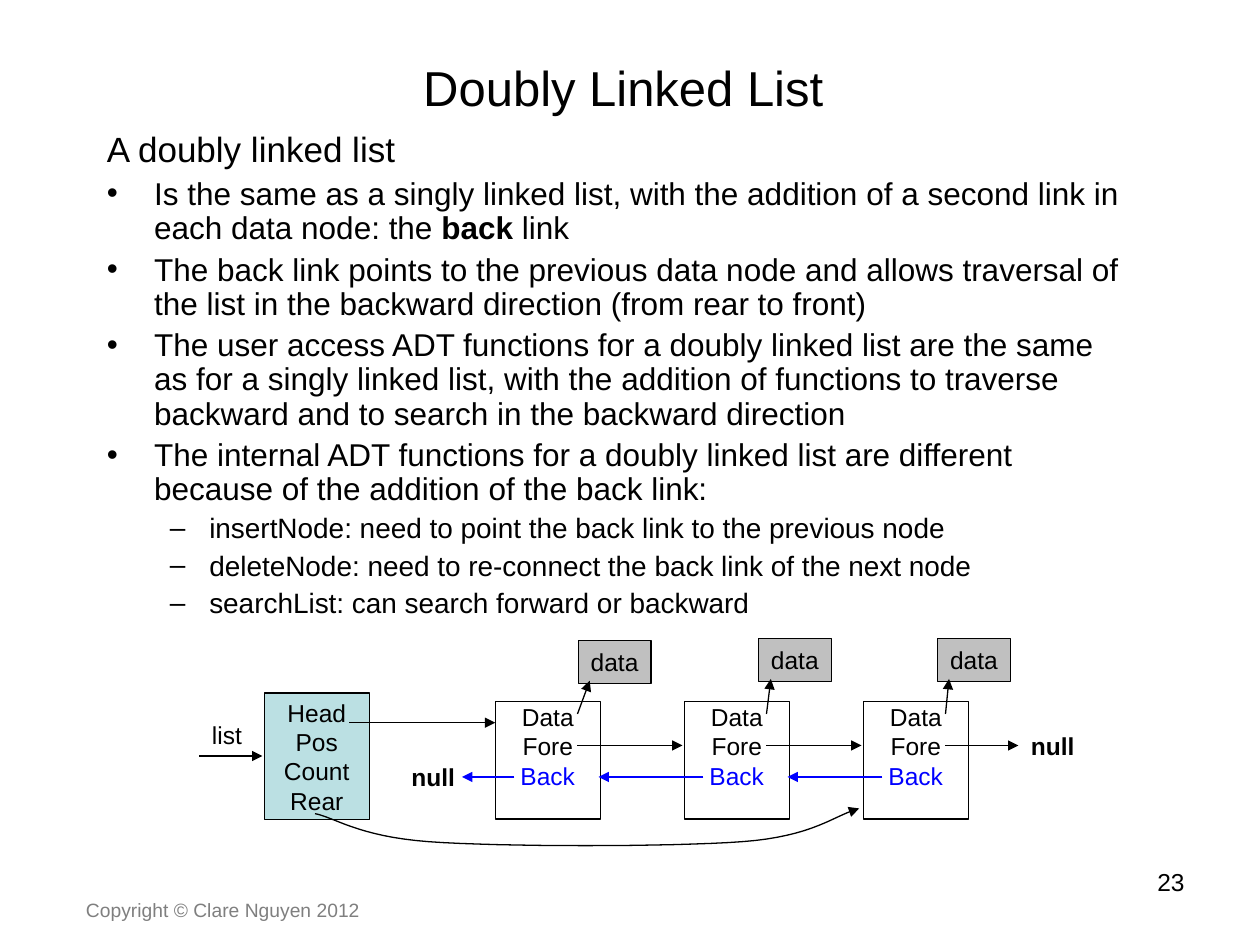
from lxml.etree import SubElement
from pptx import Presentation
from pptx.dml.color import RGBColor
from pptx.enum.shapes import MSO_CONNECTOR as Connector, MSO_SHAPE as Shape
from pptx.enum.text import MSO_ANCHOR as Anchor, PP_ALIGN as Align
from pptx.oxml.ns import qn
from pptx.util import Pt

BLACK = RGBColor(0x00, 0x00, 0x00)
BLUE = RGBColor(0x00, 0x00, 0xFF)
GRAY = RGBColor(0x7F, 0x7F, 0x7F)
SILVER = RGBColor(0xC0, 0xC0, 0xC0)
TEAL = RGBColor(0xBB, 0xE0, 0xE3)
FONT = "Arial"
LINE_WIDTH = 0.75

BULLETS = [
    "Is the same as a singly linked list, with the addition of a second link in "
    "each data node: the **back** link",
    "The back link points to the previous data node and allows traversal of the "
    "list in the backward direction (from rear to front)",
    "The user access ADT functions for a doubly linked list are the same as for a "
    "singly linked list, with the addition of functions to traverse backward and "
    "to search in the backward direction",
    "The internal ADT functions for a doubly linked list are different because of "
    "the addition of the back link:",
]
DASHES = [
    "insertNode: need to point the back link to the previous node",
    "deleteNode: need to re-connect the back link of the next node",
    "searchList: can search forward or backward",
]


def write(paragraph, text, size=14, color=BLACK, bold=False, align=Align.LEFT):
    """Fill a paragraph; parts between double asterisks are bold."""
    paragraph.alignment = align
    for index, part in enumerate(text.split("**")):
        run = paragraph.add_run()
        run.text = part
        font = run.font
        font.name, font.size, font.color.rgb = FONT, Pt(size), color
        font.bold = bold or index % 2 == 1


def add_label(slide, box, text, wrap=True, anchor=Anchor.TOP, **style):
    frame = slide.shapes.add_textbox(*map(Pt, box)).text_frame
    frame.word_wrap = wrap
    frame.vertical_anchor = anchor
    write(frame.paragraphs[0], text, **style)


def add_box(slide, box, lines, fill=None, anchor=Anchor.MIDDLE):
    """Draw an outlined rectangle with one (text, color) pair per line."""
    shape = slide.shapes.add_shape(Shape.RECTANGLE, *map(Pt, box))
    shape.shadow.inherit = False
    shape.line.color.rgb, shape.line.width = BLACK, Pt(LINE_WIDTH)
    if fill is None:
        shape.fill.background()
    else:
        shape.fill.solid()
        shape.fill.fore_color.rgb = fill
    frame = shape.text_frame
    frame.word_wrap = False
    frame.vertical_anchor = anchor
    frame.margin_top = frame.margin_bottom = 0
    for index, (text, color) in enumerate(lines):
        paragraph = frame.add_paragraph() if index else frame.paragraphs[0]
        write(paragraph, text, color=color, align=Align.CENTER)


def style_arrow(shape, color):
    shape.line.color.rgb, shape.line.width = color, Pt(LINE_WIDTH)
    SubElement(shape.line._get_or_add_ln(), qn("a:tailEnd"), type="triangle")


def add_arrow(slide, start, end, color=BLACK):
    arrow = slide.shapes.add_connector(Connector.STRAIGHT, *map(Pt, start + end))
    style_arrow(arrow, color)
    SubElement(arrow._element.spPr, qn("a:effectLst"))


def add_curved_arrow(slide, points, steps=16):
    """Trace a chain of cubic curves: a start, then three points per curve."""
    trace = []
    for first in range(0, len(points) - 1, 3):
        a, b, c, d = points[first:first + 4]
        for step in range(1, steps + 1):
            t = step / steps
            weights = ((1 - t) ** 3, 3 * t * (1 - t) ** 2, 3 * t * t * (1 - t), t ** 3)
            trace.append(tuple(Pt(sum(w * p[axis] for w, p in zip(weights, (a, b, c, d))))
                               for axis in (0, 1)))
    builder = slide.shapes.build_freeform(*map(Pt, points[0]))
    builder.add_line_segments(trace, close=False)
    curve = builder.convert_to_shape()
    curve.shadow.inherit = False
    curve.fill.background()
    style_arrow(curve, BLACK)


def add_body(slide, box):
    frame = slide.shapes.add_textbox(*map(Pt, box)).text_frame
    frame.word_wrap = True
    items = [("A doubly linked list", 20, None, 27, -27, 0)]
    items += [(text, 18, "•", 27, -27, 4.5) for text in BULLETS]
    items += [(text, 16, "–", 58.5, -22.5, 4) for text in DASHES]
    for index, (text, size, bullet, margin, indent, space) in enumerate(items):
        paragraph = frame.add_paragraph() if index else frame.paragraphs[0]
        paragraph.line_spacing = 0.9
        paragraph.space_before = Pt(space)
        properties = paragraph._p.get_or_add_pPr()
        properties.set("marL", str(Pt(margin)))
        properties.set("indent", str(Pt(indent)))
        if bullet:
            SubElement(properties, qn("a:buFont"), typeface=FONT)
            SubElement(properties, qn("a:buChar"), char=bullet)
        write(paragraph, text, size=size)


def add_node(slide, box, data_box, pointer_end, fore_end, back_end):
    """Draw a data node, its data box and its three links."""
    left, top, width, height = box
    add_box(slide, box, [("Data", BLACK), ("Fore", BLACK), ("Back", BLUE)],
            anchor=Anchor.TOP)
    add_box(slide, data_box, [("data", BLACK)], fill=SILVER)
    link = left + 47
    add_arrow(slide, (link, top + 7), pointer_end)
    add_arrow(slide, (link, top + 25), (fore_end, top + 25))
    add_arrow(slide, (left + 11, top + 43), (back_end, top + 43), BLUE)


def add_list_diagram(slide, box):
    left, top, width, height = box
    node_top, node_width, node_height = top + 36, 60, 67
    node_lefts = [left + 169, left + 277, left + 379.3]
    data_offsets = [(47.5, 1), (42.5, 0), (42.5, 0)]
    pointer_offsets = [(54, 24), (49.5, 23), (49, 23)]
    fore_ends = [node - 1 for node in node_lefts[1:]] + [left + 468]
    back_ends = [left + 150] + [node + node_width - 1 for node in node_lefts[:-1]]

    head_lines = [(text, BLACK) for text in ("Head", "Pos", "Count", "Rear")]
    add_box(slide, (left + 37, top + 31, 60, 72.5), head_lines, fill=TEAL)
    add_arrow(slide, (left, top + 67), (left + 36, top + 67))
    add_arrow(slide, (left + 85.5, top + 48), (node_lefts[0], top + 48))
    for node_left, data, pointer, fore_end, back_end in zip(
            node_lefts, data_offsets, pointer_offsets, fore_ends, back_ends):
        add_node(slide, (node_left, node_top, node_width, node_height),
                 (node_left + data[0], top + data[1], 41.5, 24.5),
                 (node_left + pointer[0], top + pointer[1]), fore_end, back_end)
    add_curved_arrow(slide, [(left + x, top + y) for x, y in (
        (66, 100), (77, 102), (90.5, 113), (131, 116), (172, 119),
        (269, 119), (310, 116), (351, 113), (362.5, 101), (377, 97))])
    add_label(slide, (left, top + 43, 32, 24.5), "list", wrap=False)
    for x, y in ((114, 67), (468, 49)):
        add_label(slide, (left + x, top + y, 44, 24.5), "null", bold=True)


def main():
    presentation = Presentation()
    presentation.slide_width, presentation.slide_height = Pt(720), Pt(540)
    slide = presentation.slides.add_slide(presentation.slide_layouts[6])
    add_label(slide, (36, 21.6, 648, 56), "Doubly Linked List ", size=28,
              anchor=Anchor.MIDDLE, align=Align.CENTER)
    add_body(slide, (54, 72, 600, 294))
    add_list_diagram(slide, (114, 365, 507, 120))
    add_label(slide, (516, 492, 168, 37), "23", align=Align.RIGHT)
    add_label(slide, (42, 510, 228, 14), "Copyright © Clare Nguyen 2012",
              size=11, color=GRAY)
    presentation.save("out.pptx")


if __name__ == "__main__":
    main()
